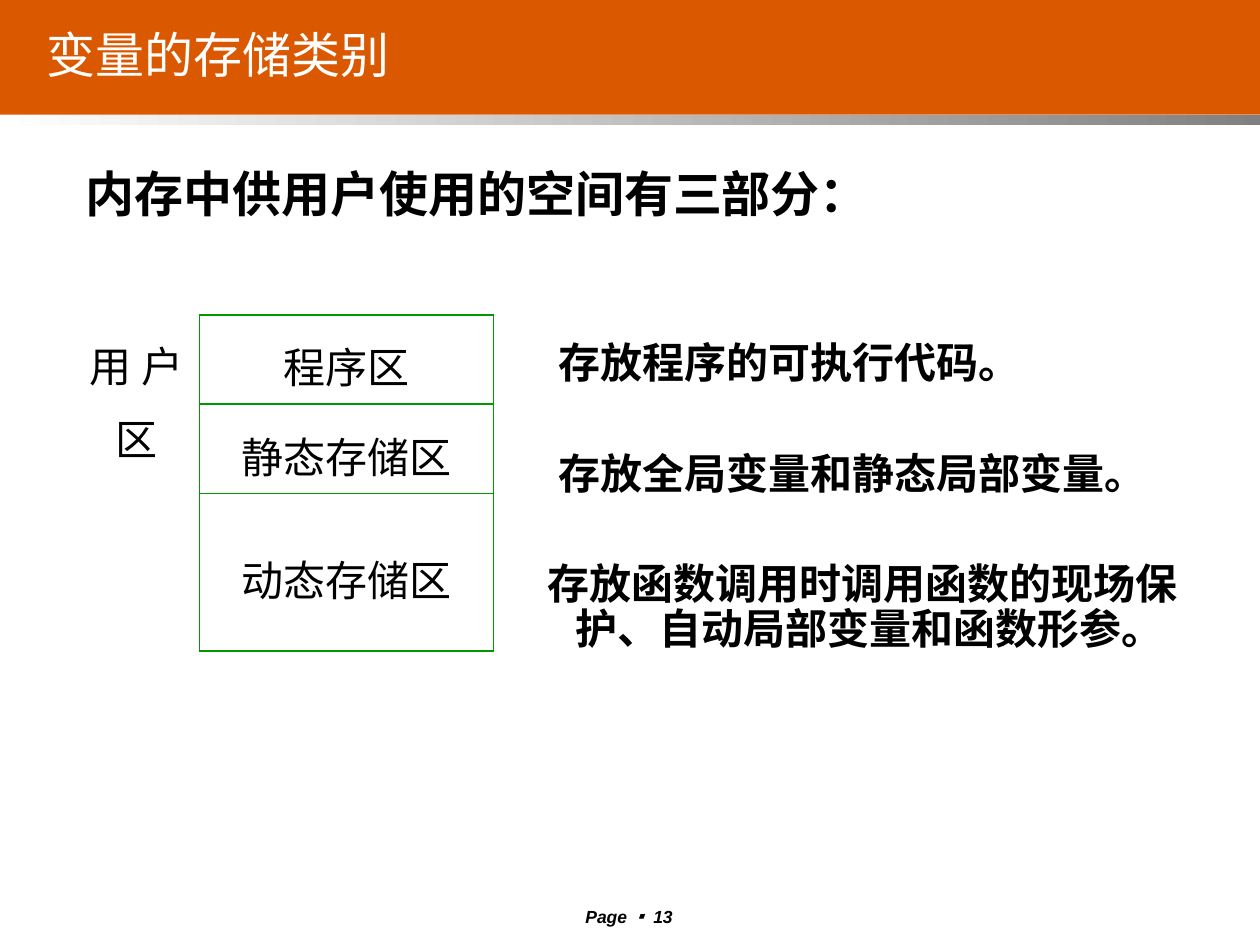
import pptx
import pptx.dml.color
import pptx.enum.shapes
import pptx.enum.text
import pptx.oxml.ns
import pptx.util
from lxml import etree
from pptx.util import Pt

COLORS = {"banner": "DA5800", "shade_start": "FFFFFF", "shade_end": "808080",
          "title": "FFFFFF", "text": "000000", "grid": "009900"}
ALIGN = pptx.enum.text.PP_ALIGN
ANCHOR = pptx.enum.text.MSO_ANCHOR


def rgb(name):
    return pptx.dml.color.RGBColor.from_string(COLORS[name])


def add_run(paragraph, text, font, size, color="text", bold=False, italic=False):
    run = paragraph.add_run()
    run.text = text
    run.font.name = font
    run.font.size = Pt(size)
    run.font.bold = bold
    run.font.italic = italic
    run.font.color.rgb = rgb(color)


def add_text_box(slide, box, anchor=ANCHOR.TOP):
    """Add a wrapping text box and return its first paragraph."""
    frame = slide.shapes.add_textbox(*map(Pt, box)).text_frame
    frame.word_wrap = True
    frame.vertical_anchor = anchor
    return frame.paragraphs[0]


def add_band(slide, box):
    band = slide.shapes.add_shape(
        pptx.enum.shapes.MSO_SHAPE.RECTANGLE, *map(Pt, box))
    band.shadow.inherit = False
    band.line.fill.background()
    return band


def add_header(slide, box, text):
    """Place the banner, the shaded strip under it and the title."""
    left, top, width, height = box
    strip_height = 6
    banner = add_band(slide, (left, top, width, height - strip_height))
    banner.fill.solid()
    banner.fill.fore_color.rgb = rgb("banner")

    strip = add_band(slide, (left, top + height - strip_height, width, strip_height))
    strip.fill.gradient()
    strip.fill.gradient_angle = 0
    for stop, name in zip(strip.fill.gradient_stops, ("shade_start", "shade_end")):
        stop.color.rgb = rgb(name)

    title = slide.shapes.title
    title._element.getparent().append(title._element)  # in front of the banner
    title.left, title.top = Pt(left + 19.5), Pt(top + 3.6)
    title.width, title.height = Pt(497), Pt(54)
    title.text_frame.vertical_anchor = ANCHOR.MIDDLE
    paragraph = title.text_frame.paragraphs[0]
    paragraph.alignment = ALIGN.LEFT
    add_run(paragraph, text, "Noto Sans CJK JP", 28, "title")


def set_borders(cell, green_sides):
    properties = cell._tc.get_or_add_tcPr()
    for side in "LRTB":
        line = etree.SubElement(properties, pptx.oxml.ns.qn(f"a:ln{side}"),
                                w=str(Pt(1.08)))
        if side in green_sides:
            fill = etree.SubElement(line, pptx.oxml.ns.qn("a:solidFill"))
            etree.SubElement(fill, pptx.oxml.ns.qn("a:srgbClr"), val=COLORS["grid"])
        else:
            etree.SubElement(line, pptx.oxml.ns.qn("a:noFill"))


def add_memory_table(slide, box, label, areas, row_heights):
    left, top, width, height = box
    label_width = 72
    table = slide.shapes.add_table(len(areas), 2, *map(Pt, box)).table
    table.first_row = table.horz_banding = False
    table.columns[0].width = Pt(label_width)
    table.columns[1].width = Pt(width - label_width)
    for row, row_height in zip(table.rows, row_heights):
        row.height = Pt(row_height)
        for cell, green_sides in zip(row.cells, ("R", "LRTB")):
            set_borders(cell, green_sides)
            cell.fill.background()
    table.cell(0, 0).merge(table.cell(len(areas) - 1, 0))

    area_cells = [table.cell(row, 1) for row in range(len(areas))]
    for cell in area_cells:
        cell.vertical_anchor = ANCHOR.MIDDLE
    for cell, text in zip([table.cell(0, 0), *area_cells], [label, *areas]):
        paragraph = cell.text_frame.paragraphs[0]
        paragraph.alignment = ALIGN.CENTER
        paragraph.line_spacing = 1.2
        # The space before also lowers the first line inside a cell.
        paragraph.space_before = Pt(6)
        add_run(paragraph, text, "Courier New", 24)


def add_heading(slide, box, text):
    paragraph = add_text_box(slide, box)
    paragraph._p.get_or_add_pPr().set("indent", str(Pt(12)))
    add_run(paragraph, text, "Times New Roman", 28, bold=True)


def add_description(slide, box, text, line_spacing, hanging):
    paragraph = add_text_box(slide, box, ANCHOR.MIDDLE)
    paragraph.line_spacing = line_spacing
    properties = paragraph._p.get_or_add_pPr()
    properties.set("marL", str(Pt(hanging)))
    properties.set("indent", str(-Pt(hanging)))
    add_run(paragraph, text, "Times New Roman", 24, bold=True)


def add_page_number(slide, box, number):
    paragraph = add_text_box(slide, box)
    paragraph.alignment = ALIGN.CENTER
    for text, font in (("Page ", "Arial"), ("▪ ", "Noto Sans CJK JP"),
                       (number, "Arial")):
        add_run(paragraph, text, font, 10, bold=True, italic=True)


def main():
    deck = pptx.Presentation()
    deck.slide_width, deck.slide_height = Pt(720), Pt(540)
    slide = deck.slides.add_slide(deck.slide_layouts.get_by_name("Title Only"))

    add_header(slide, (0, 0, 723, 71.5), "变量的存储类别")
    add_heading(slide, (30, 90, 558, 41), "内存中供用户使用的空间有三部分：")
    add_memory_table(slide, (42, 180, 240, 192), "用 户 区",
                     ["程序区", "静态存储区", "动态存储区"], [51, 51, 90])

    descriptions = [
        ((312, 192, 306, 33), "存放程序的可执行代码。", 0.9, 0),
        ((312, 252, 342, 36), "存放全局变量和静态局部变量。", 1.0, 0),
        ((306, 318, 384, 59), "存放函数调用时调用函数的现场保护、自动局部变量和函数形参。", 0.9, 16),
    ]
    for description in descriptions:
        add_description(slide, *description)

    add_page_number(slide, (303, 514, 113, 16), "13")
    deck.save("out.pptx")


if __name__ == "__main__":
    main()
